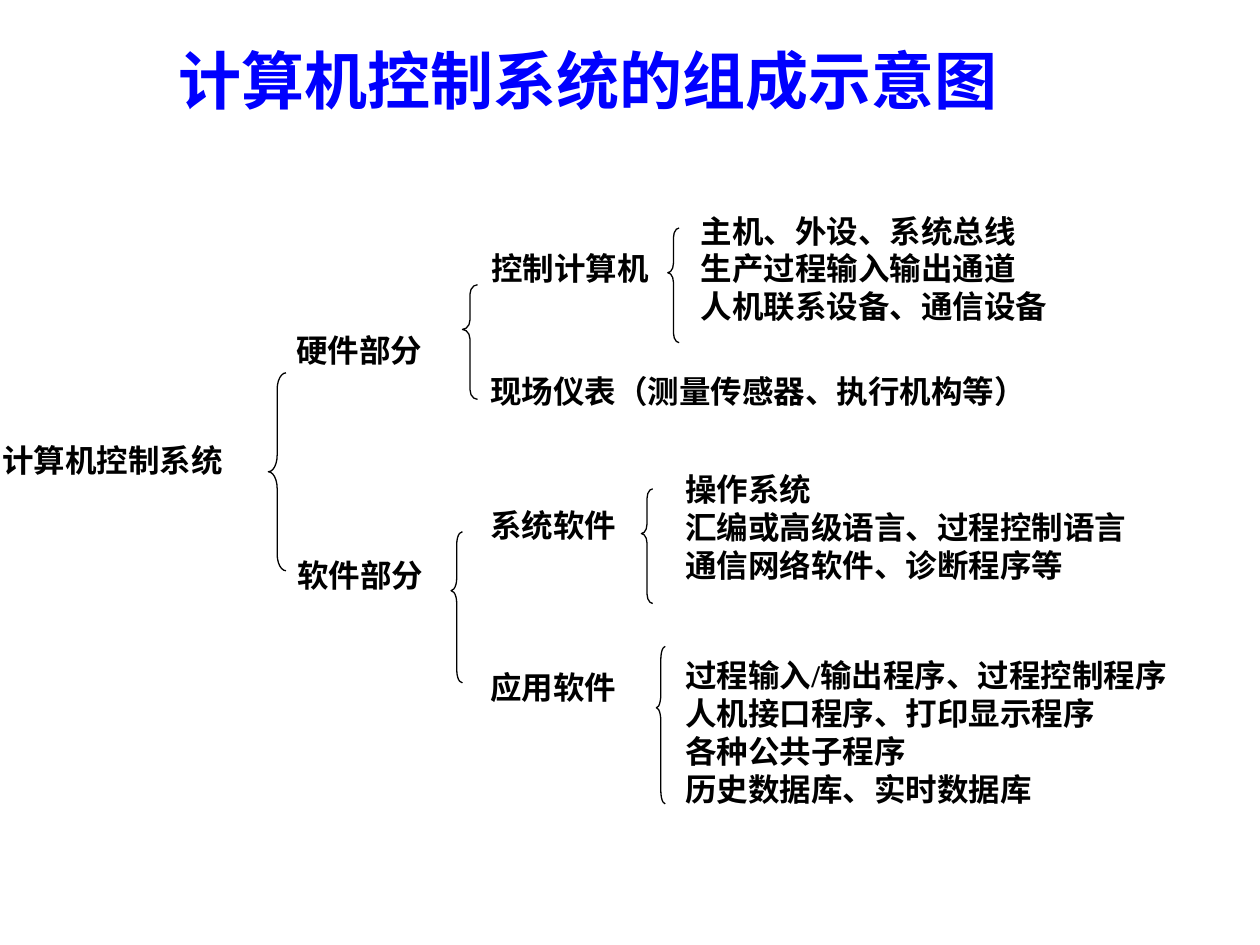
from dataclasses import dataclass

from pptx import Presentation
from pptx.dml.color import RGBColor
from pptx.enum.shapes import MSO_SHAPE
from pptx.enum.text import MSO_ANCHOR, PP_ALIGN
from pptx.util import Inches, Pt

RECT = MSO_SHAPE.RECTANGLE
BRACE = MSO_SHAPE.LEFT_BRACE
TOP, MIDDLE = MSO_ANCHOR.TOP, MSO_ANCHOR.MIDDLE
CENTER, JUSTIFY = PP_ALIGN.CENTER, PP_ALIGN.JUSTIFY


@dataclass(frozen=True)
class Theme:
    ink: RGBColor = RGBColor(0, 0, 0)
    paper: RGBColor = RGBColor(255, 255, 255)
    blue: RGBColor = RGBColor(0, 0, 255)
    head: str = "Arial"
    body: str = "Times New Roman"
    large: Pt = Pt(36)
    small: Pt = Pt(18)
    line: Pt = Pt(0.75)


@dataclass(frozen=True)
class Label:
    left: float
    top: float
    width: float
    height: float
    lines: tuple[str, ...]
    indent: float = 0.06
    align: PP_ALIGN = JUSTIFY


@dataclass(frozen=True)
class Brace:
    left: float
    top: float
    width: float
    height: float
    point: float = 0.39


THEME = Theme()

TITLE = Label(0.42, 0.25, 8.5, 0.76, ("计算机控制系统的组成示意图",), 0, CENTER)

LABELS = (
    Label(0, 3.49, 1.97, 0.56, ("计算机控制系统",), 0),
    Label(2.27, 2.62, 1.33, 0.53, ("硬件部分",)),
    Label(2.34, 4.4, 1.12, 0.47, ("软件部分",), 0),
    Label(3.83, 1.97, 1.39, 0.47, ("控制计算机",), 0, CENTER),
    Label(3.81, 2.94, 4.46, 0.47, ("现场仪表（测量传感器、执行机构等）",)),
    Label(3.81, 4.01, 1.14, 0.47, ("系统软件",)),
    Label(3.81, 5.29, 1.21, 0.47, ("应用软件",)),
    Label(5.54, 1.67, 3.18, 1.3, (
        "主机、外设、系统总线",
        "生产过程输入输出通道",
        "人机联系设备、通信设备",
    ), 0),
    Label(5.36, 3.72, 3.74, 1.14, (
        "操作系统",
        "汇编或高级语言、过程控制语言",
        "通信网络软件、诊断程序等",
    )),
    Label(5.36, 5.2, 4.02, 1.72, (
        "过程输入/输出程序、过程控制程序",
        "人机接口程序、打印显示程序",
        "各种公共子程序",
        "历史数据库、实时数据库",
    )),
)

BRACES = (
    Brace(2.13, 2.96, 0.14, 1.57, 0.5),
    Brace(3.67, 2.26, 0.12, 0.91),
    Brace(3.58, 4.22, 0.09, 1.2),
    Brace(5.3, 1.81, 0.09, 0.91),
    Brace(5.09, 3.88, 0.09, 0.91),
    Brace(5.21, 5.13, 0.07, 1.25),
)


def place(item: Label | Brace) -> tuple[Inches, ...]:
    return tuple(map(Inches, (item.left, item.top, item.width, item.height)))


def write(frame, label: Label, face: str, size: Pt, color: RGBColor) -> None:
    frame.word_wrap = True
    frame.text = "\n".join(label.lines)
    for para in frame.paragraphs:
        para.alignment = label.align
        if label.indent:
            props = para._p.get_or_add_pPr()
            props.set("marL", "0")
            props.set("indent", str(Inches(label.indent)))
        font = para.font
        font.name, font.size, font.bold = face, size, True
        font.color.rgb = color


def draw_title(slide, label: Label) -> None:
    frame = slide.shapes.add_textbox(*place(label)).text_frame
    frame.vertical_anchor = MIDDLE
    write(frame, label, THEME.head, THEME.large, THEME.blue)


def draw_label(slide, label: Label) -> None:
    box = slide.shapes.add_shape(RECT, *place(label))
    box.shadow.inherit = False
    box.fill.solid()
    box.fill.fore_color.rgb = THEME.paper
    box.line.fill.background()
    frame = box.text_frame
    frame.vertical_anchor = TOP
    frame.margin_left = frame.margin_right = Inches(0.02)
    frame.margin_top = frame.margin_bottom = Inches(0.01)
    write(frame, label, THEME.body, THEME.small, THEME.ink)


def draw_brace(slide, brace: Brace) -> None:
    shape = slide.shapes.add_shape(BRACE, *place(brace))
    shape.shadow.inherit = False
    shape.fill.background()
    shape.line.color.rgb = THEME.ink
    shape.line.width = THEME.line
    shape.adjustments[0] = brace.height / 12 / brace.width
    shape.adjustments[1] = brace.point


def main() -> None:
    deck = Presentation()
    deck.slide_width, deck.slide_height = Inches(10), Inches(7.5)
    slide = deck.slides.add_slide(deck.slide_layouts[6])
    draw_title(slide, TITLE)
    for label in LABELS:
        draw_label(slide, label)
    for brace in BRACES:
        draw_brace(slide, brace)
    deck.save("out.pptx")


if __name__ == "__main__":
    main()
